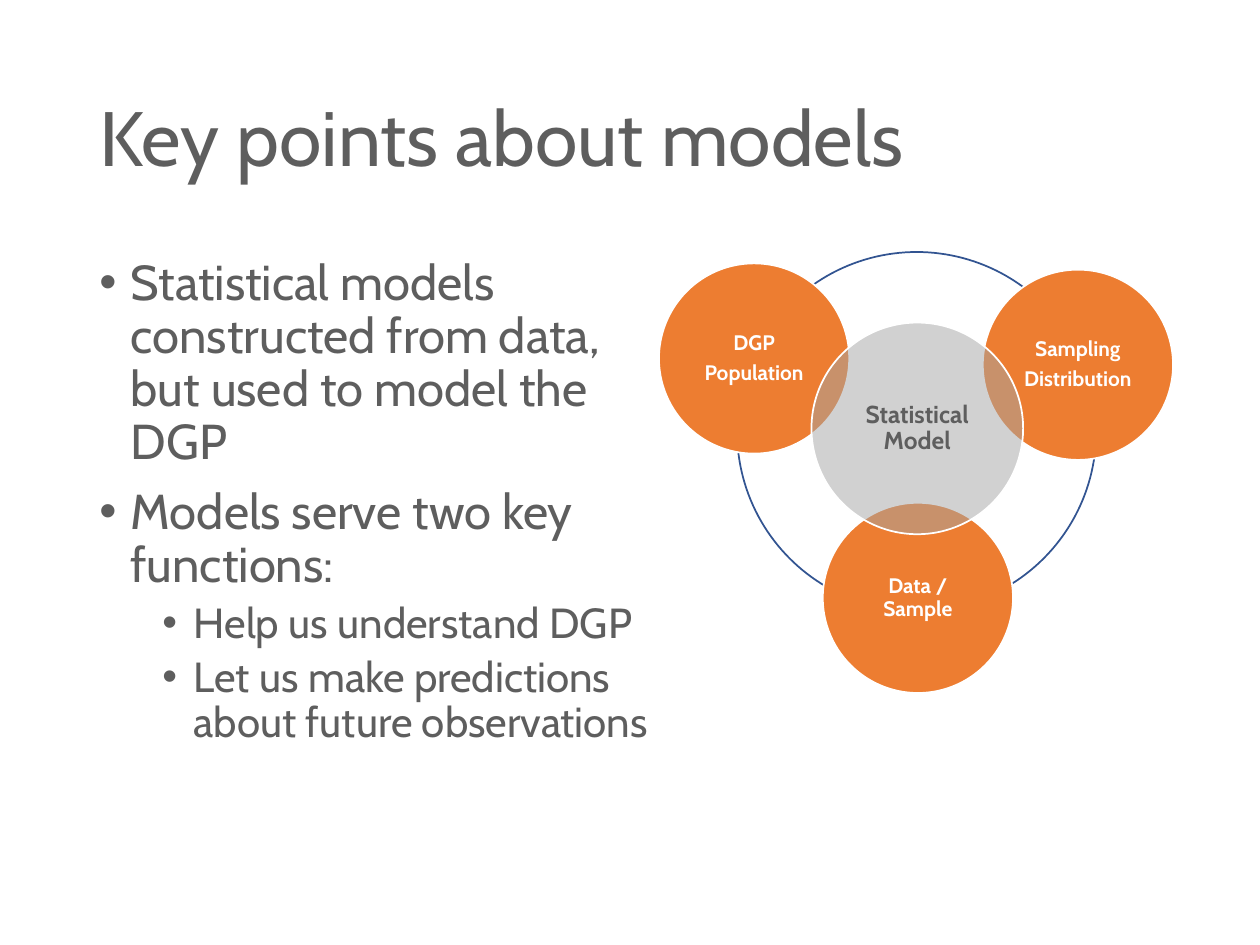
"""Build a slide on statistical models with a bullet list and a ring of circles."""
from dataclasses import dataclass

from lxml.etree import SubElement
from pptx import Presentation
from pptx.dml.color import RGBColor
from pptx.enum.shapes import MSO_SHAPE as Shape
from pptx.enum.text import MSO_ANCHOR as Anchor, PP_ALIGN as Align
from pptx.oxml.ns import qn
from pptx.shapes.group import GroupShape
from pptx.slide import Slide
from pptx.text.text import TextFrame
from pptx.util import Emu, Pt

EMU_PER_PX = 9144


@dataclass(frozen=True)
class Theme:
    font: str = "Cabin"
    ink: str = "5E5E5E"
    white: str = "FFFFFF"
    orange: str = "ED7D31"
    gray: str = "A5A5A5"
    ring: str = "325491"
    title: int = 44
    body: int = 28
    sub: int = 24
    center: int = 14
    label: int = 12


@dataclass(frozen=True)
class Bullet:
    text: str
    size: int
    indent: int
    before: int


@dataclass(frozen=True)
class Circle:
    left: int
    top: int
    diameter: int
    inset: int
    lines: tuple[str, ...]
    fill: str
    ink: str
    size: int
    opacity: int = 100


THEME = Theme()

BULLETS = (
    Bullet("Statistical models constructed from data, but used to model the DGP", THEME.body, 25, 10),
    Bullet("Models serve two key functions:", THEME.body, 25, 10),
    Bullet("Help us understand DGP", THEME.sub, 75, 5),
    Bullet("Let us make predictions about future observations", THEME.sub, 75, 5),
)


def outer_circle(left: int, top: int, *lines: str) -> Circle:
    """Describe one of the equal circles on the ring."""
    return Circle(left, top, 151, 7, lines, THEME.orange, THEME.white, THEME.label)


CIRCLES = (
    outer_circle(653, 399, "Data / Sample"),
    outer_circle(780, 214, "Sampling", "Distribution"),
    outer_circle(523, 209, "DGP", "Population"),
    Circle(644, 256, 168, 12, ("Statistical Model",), THEME.gray, THEME.ink, THEME.center, 50),
)


def px(length: int) -> Emu:
    """Turn px into EMU."""
    return Emu(length * EMU_PER_PX)


def rgb(color: str) -> RGBColor:
    """Turn a hex string into a colour."""
    return RGBColor.from_string(color)


def write(frame: TextFrame, text: str, *, size: int, color: str = THEME.ink, bold: bool = False,
          align: Align = Align.LEFT, before: float = 0, after: float = 0, indent: int = 0) -> None:
    """Add a formatted paragraph, with a bullet when it is indented."""
    first = frame.paragraphs[0]
    para = frame.add_paragraph() if first.runs else first
    para.alignment = align
    para.line_spacing = 0.9
    para.space_before, para.space_after = Pt(before), Pt(after)
    if indent:
        properties = para._p.get_or_add_pPr()
        properties.set("marL", str(px(indent)))
        properties.set("indent", str(px(-25)))
        SubElement(properties, qn("a:buFont")).set("typeface", "Arial")
        SubElement(properties, qn("a:buChar")).set("char", "•")
    span = para.add_run()
    span.text = text
    span.font.name, span.font.size, span.font.bold = THEME.font, Pt(size), bold
    span.font.color.rgb = rgb(color)


def add_box(page: Slide, left: int, top: int, width: int, height: int, anchor: Anchor) -> TextFrame:
    """Add a wrapping text box and return its frame."""
    frame = page.shapes.add_textbox(px(left), px(top), px(width), px(height)).text_frame
    frame.word_wrap = True
    frame.vertical_anchor = anchor
    return frame


def add_ring(group: GroupShape, left: int, top: int, diameter: int) -> None:
    """Draw the unfilled ring behind the circles."""
    ring = group.shapes.add_shape(Shape.OVAL, px(left), px(top), px(diameter), px(diameter))
    ring.shadow.inherit = False
    ring.fill.background()
    ring.line.color.rgb = rgb(THEME.ring)
    ring.line.width = Pt(1)


def add_circle(group: GroupShape, circle: Circle) -> None:
    """Draw a filled circle with its centred label."""
    side = px(circle.diameter)
    oval = group.shapes.add_shape(Shape.OVAL, px(circle.left), px(circle.top), side, side)
    oval.shadow.inherit = False
    oval.fill.solid()
    oval.fill.fore_color.rgb = rgb(circle.fill)
    if circle.opacity < 100:
        fill_color = oval.element.xpath("./p:spPr/a:solidFill/a:srgbClr")[0]
        SubElement(fill_color, qn("a:alpha")).set("val", str(circle.opacity * 1000))
    oval.line.color.rgb = rgb(THEME.white)
    oval.line.width = Pt(1)
    frame = oval.text_frame
    frame.word_wrap = True
    frame.vertical_anchor = Anchor.MIDDLE
    frame.margin_left = frame.margin_right = px(circle.inset)
    frame.margin_top = frame.margin_bottom = px(circle.inset)
    for line in circle.lines:
        write(frame, line, size=circle.size, color=circle.ink, bold=True,
              align=Align.CENTER, after=circle.size * 0.35)


def main() -> None:
    """Build and save the deck."""
    deck = Presentation()
    deck.slide_width, deck.slide_height = px(1000), px(750)
    page = deck.slides.add_slide(deck.slide_layouts[6])

    title = add_box(page, 69, 40, 862, 145, Anchor.MIDDLE)
    write(title, "Key points about models", size=THEME.title)

    body = add_box(page, 69, 200, 466, 478, Anchor.TOP)
    for bullet in BULLETS:
        write(body, bullet.text, size=bullet.size, indent=bullet.indent, before=bullet.before)

    diagram = page.shapes.add_group_shape()
    add_ring(diagram, 585, 200, 285)
    for circle in CIRCLES:
        add_circle(diagram, circle)

    deck.save("out.pptx")


if __name__ == "__main__":
    main()
